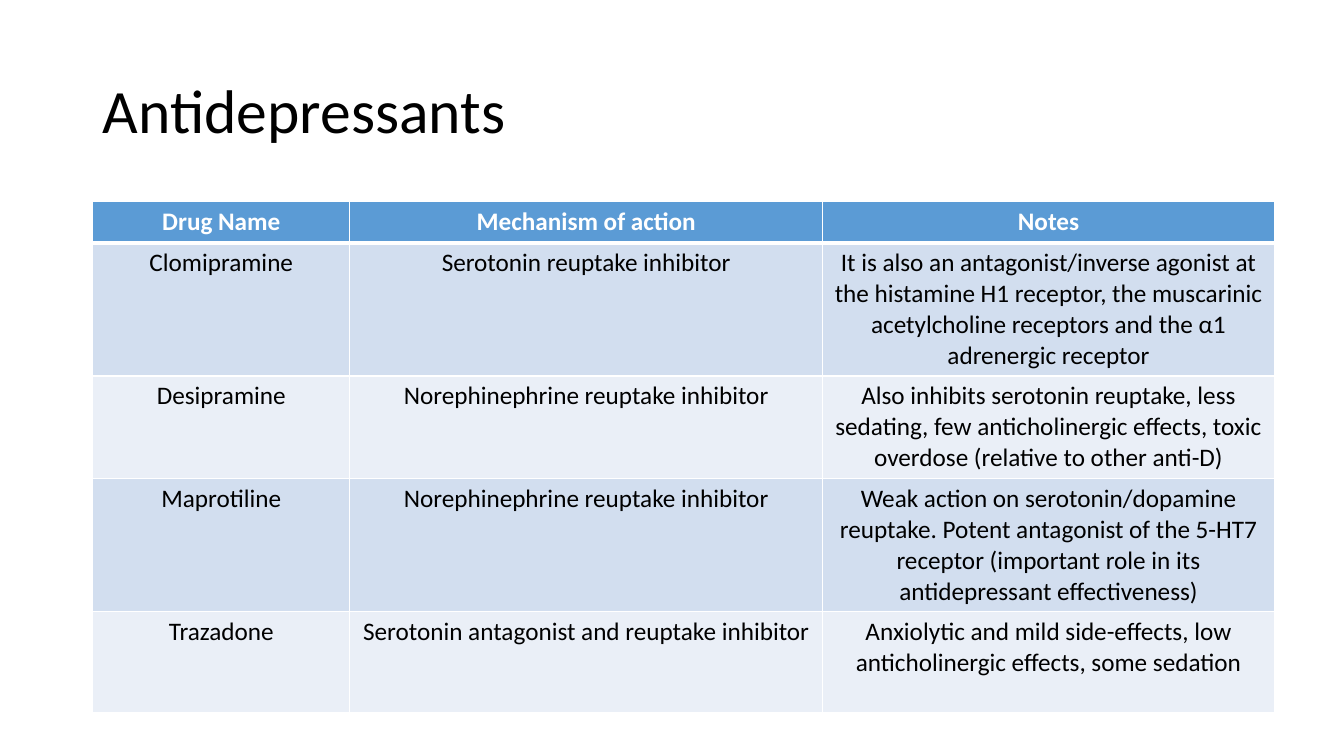
import pptx
import pptx.util
import pptx.dml.color
import pptx.enum.text
import pptx.oxml
import pptx.oxml.ns
from dataclasses import dataclass
from pptx.util import Inches


@dataclass(frozen=True)
class Theme:
    font: str = "Calibri"
    title_size: int = 44
    table_size: int = 18
    text: str = "000000"
    white: str = "FFFFFF"
    header: str = "5B9BD5"
    bands: tuple = ("D2DEEF", "EAEFF7")
    rule: int = 1
    header_rule: int = 3


THEME = Theme()
COLUMN_WIDTHS = (2.55, 4.69, 4.48)
ROW_HEIGHTS = (0.41, 1.32, 1.02, 1.32, 1)
DRUGS = (
    ("Drug Name", "Mechanism of action", "Notes"),
    ("Clomipramine", "Serotonin reuptake inhibitor",
     "It is also an antagonist/inverse agonist at the histamine H1 receptor, "
     "the muscarinic acetylcholine receptors and the α1 adrenergic receptor"),
    ("Desipramine", "Norephinephrine reuptake inhibitor",
     "Also inhibits serotonin reuptake, less sedating, few anticholinergic "
     "effects, toxic overdose (relative to other anti-D)"),
    ("Maprotiline", "Norephinephrine reuptake inhibitor",
     "Weak action on serotonin/dopamine reuptake. Potent antagonist of the "
     "5-HT7 receptor (important role in its antidepressant effectiveness)"),
    ("Trazadone", "Serotonin antagonist and reuptake inhibitor",
     "Anxiolytic and mild side-effects, low anticholinergic effects, some sedation"),
)


def rgb(color):
    return pptx.dml.color.RGBColor.from_string(color)


def format_run(r, size, color, bold=False):
    r.font.name = THEME.font
    r.font.size = pptx.util.Pt(size)
    r.font.color.rgb = rgb(color)
    r.font.bold = bold


def add_title(s, text):
    sp = s.shapes.add_textbox(Inches(0.92), Inches(0.4), Inches(11.5), Inches(1.45))
    tf = sp.text_frame
    tf.word_wrap = True
    tf.vertical_anchor = pptx.enum.text.MSO_ANCHOR.MIDDLE
    tf.text = text
    p = tf.paragraphs[0]
    p.line_spacing = 0.9
    format_run(p.runs[0], THEME.title_size, THEME.text)


def set_borders(cell, widths):
    """Add border lines ahead of the cell fill, as the schema requires."""
    tc_pr = cell._tc.get_or_add_tcPr()
    for i, (side, width) in enumerate(widths.items()):
        line = pptx.oxml.parse_xml(
            f'<a:ln{side} {pptx.oxml.ns.nsdecls("a")} w="{pptx.util.Pt(width)}">'
            f'<a:solidFill><a:srgbClr val="{THEME.white}"/></a:solidFill></a:ln{side}>')
        tc_pr.insert(i, line)


def fill_cell(cell, text, row):
    is_header = row == 0
    fill = THEME.header if is_header else THEME.bands[(row - 1) % 2]
    cell.fill.solid()
    cell.fill.fore_color.rgb = rgb(fill)
    widths = dict.fromkeys("LRTB", THEME.rule)
    if is_header:
        widths["B"] = THEME.header_rule
    elif row == 1:
        widths["T"] = THEME.header_rule
    set_borders(cell, widths)

    cell.text_frame.text = text
    p = cell.text_frame.paragraphs[0]
    p.alignment = pptx.enum.text.PP_ALIGN.CENTER
    color = THEME.white if is_header else THEME.text
    format_run(p.runs[0], THEME.table_size, color, is_header)


def add_drug_table(s):
    table = s.shapes.add_table(
        len(DRUGS), len(COLUMN_WIDTHS), Inches(0.92), Inches(2),
        Inches(sum(COLUMN_WIDTHS)), Inches(sum(ROW_HEIGHTS))).table
    for column, width in zip(table.columns, COLUMN_WIDTHS):
        column.width = Inches(width)
    for row, height in zip(table.rows, ROW_HEIGHTS):
        row.height = Inches(height)
    for i, drug in enumerate(DRUGS):
        for j, text in enumerate(drug):
            fill_cell(table.cell(i, j), text, i)


def main():
    prs = pptx.Presentation()
    prs.slide_width, prs.slide_height = Inches(13.33), Inches(7.5)
    s = prs.slides.add_slide(prs.slide_layouts[6])

    # Heading
    add_title(s, "Antidepressants")

    # Drugs, mechanisms and notes
    add_drug_table(s)

    prs.save("out.pptx")


main()
